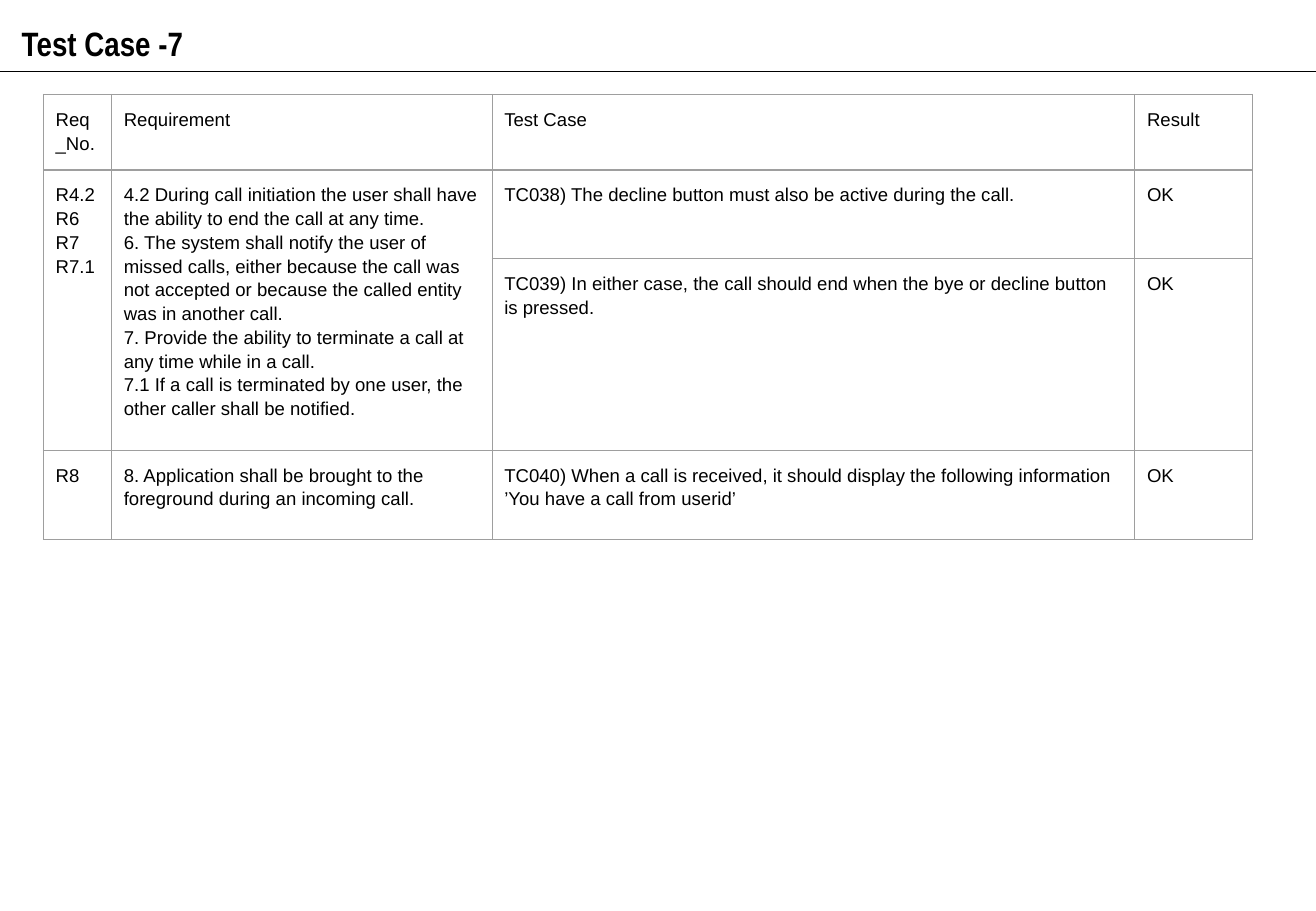
from lxml.etree import SubElement
from pptx import Presentation
from pptx.dml.color import RGBColor
from pptx.enum.shapes import MSO_CONNECTOR
from pptx.enum.text import MSO_ANCHOR
from pptx.oxml.ns import qn
from pptx.util import Pt


def color(hex_code):
    return RGBColor.from_string(hex_code)


class SlideBuilder:
    INK = "000000"
    GRID = "9E9E9E"
    LINE_WIDTH = 0.75
    CELL_MARGIN = 7.2

    def __init__(self, slide):
        self.slide = slide

    def set_text(self, frame, text, font, size, spacing, bold=False):
        frame.text = text
        frame.word_wrap = True
        for paragraph in frame.paragraphs:
            paragraph.line_spacing = spacing
            for run in paragraph.runs:
                run.font.name = font
                run.font.size = Pt(size)
                run.font.bold = bold
                run.font.color.rgb = color(self.INK)

    def title(self, text, left, top, width, height):
        box = self.slide.shapes.add_textbox(Pt(left), Pt(top), Pt(width), Pt(height))
        self.set_text(box.text_frame, text, "Arial Narrow", 20, 1.2, bold=True)

    def rule(self, top, width):
        rule = self.slide.shapes.add_connector(
            MSO_CONNECTOR.STRAIGHT, Pt(0), Pt(top), Pt(width), Pt(top))
        rule.line.color.rgb = color(self.INK)
        rule.line.width = Pt(self.LINE_WIDTH)
        SubElement(rule._element.spPr, qn("a:effectLst"))

    def borders(self, cell):
        properties = cell._tc.get_or_add_tcPr()
        for side in ("a:lnL", "a:lnR", "a:lnT", "a:lnB"):
            border = SubElement(properties, qn(side), w=str(Pt(self.LINE_WIDTH)))
            fill = SubElement(border, qn("a:solidFill"))
            SubElement(fill, qn("a:srgbClr"), val=self.GRID)

    def table(self, rows, left, top, widths, heights, merges):
        grid = self.slide.shapes.add_table(
            len(rows), len(widths), Pt(left), Pt(top),
            Pt(sum(widths)), Pt(sum(heights))).table
        grid.first_row = grid.horz_banding = False
        for column, width in zip(grid.columns, widths):
            column.width = Pt(width)
        for row, height, texts in zip(grid.rows, heights, rows):
            row.height = Pt(height)
            for cell, text in zip(row.cells, texts):
                self.borders(cell)
                cell.fill.background()
                cell.margin_left = cell.margin_right = Pt(self.CELL_MARGIN)
                cell.margin_top = cell.margin_bottom = Pt(self.CELL_MARGIN)
                cell.vertical_anchor = MSO_ANCHOR.TOP
                if text:
                    self.set_text(cell.text_frame, text, "Arial", 11, 1.15)
        for first, last in merges:
            grid.cell(*first).merge(grid.cell(*last))


TEST_CASES = [
    ("Req_No.", "Requirement", "Test Case", "Result"),
    ("R4.2\nR6\nR7\nR7.1",
     "4.2 During call initiation the user shall have the ability to end the call "
     "at any time.\n"
     "6. The system shall notify the user of missed calls, either because the call "
     "was not accepted or because the called entity was in another call.\n"
     "7. Provide the ability to terminate a call at any time while in a call.\n"
     "7.1 If a call is terminated by one user, the other caller shall be notified.",
     "TC038) The decline button must also be active during the call.", "OK"),
    ("", "",
     "TC039) In either case, the call should end when the bye or decline button "
     "is pressed.", "OK"),
    ("R8",
     "8. Application shall be brought to the foreground during an incoming call.",
     "TC040) When a call is received, it should display the following information "
     "’You have a call from userid’", "OK"),
]


def main():
    deck = Presentation()
    deck.slide_width, deck.slide_height = Pt(780), Pt(540)
    builder = SlideBuilder(deck.slides.add_slide(deck.slide_layouts[6]))

    # Heading
    builder.rule(42.3, 780)
    builder.title("Test Case -7", 5.8, 5, 562, 32)

    # Test cases, with the R4.2 to R7.1 requirements spanning two rows
    builder.table(
        TEST_CASES, 25.8, 56,
        widths=(40.4, 225.5, 381, 69.7),
        heights=(44.4, 52.7, 113.2, 52.7),
        merges=[((1, column), (2, column)) for column in (0, 1)])

    deck.save("out.pptx")


if __name__ == "__main__":
    main()
